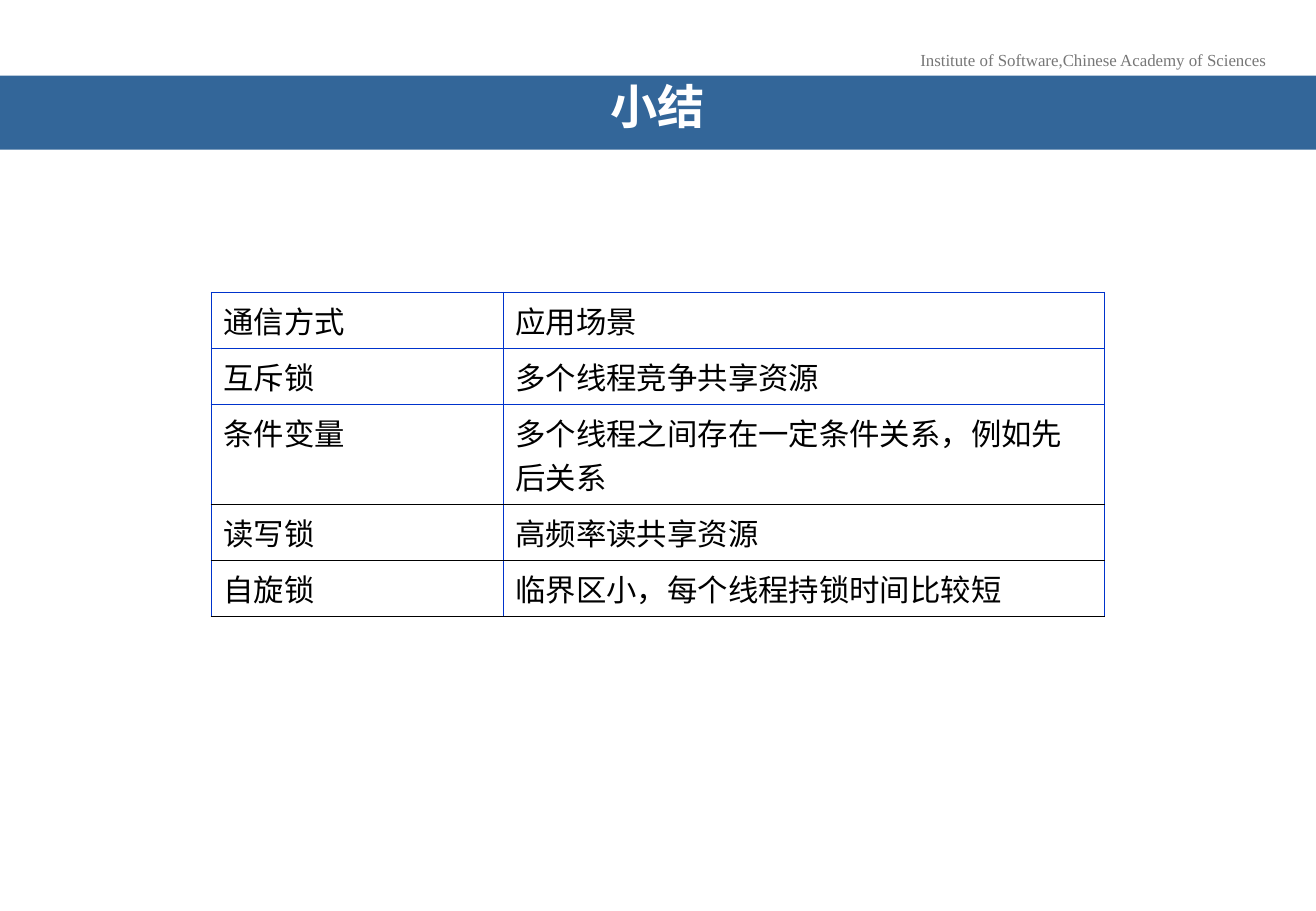
from lxml.etree import SubElement
from pptx import Presentation
from pptx.dml.color import RGBColor
from pptx.enum.text import MSO_ANCHOR, MSO_AUTO_SIZE, PP_ALIGN
from pptx.oxml.ns import qn
from pptx.util import Cm, Pt

INSTITUTE = "Institute of Software,Chinese Academy of Sciences"
TITLE = "小结"
LOCKS = [
    ("通信方式", "应用场景"),
    ("互斥锁", "多个线程竞争共享资源"),
    ("条件变量", "多个线程之间存在一定条件关系，例如先后关系"),
    ("读写锁", "高频率读共享资源"),
    ("自旋锁", "临界区小，每个线程持锁时间比较短"),
]

SLIDE_WIDTH, SLIDE_HEIGHT = 27.51, 19.05
COLUMN_WIDTHS = [6.1, 12.57]
ROW_HEIGHTS = [1.17, 1.17, 2.09, 1.17, 1.17]
BLUE_RULE = ("0033CC", 1)
THIN_RULE = ("000000", 0.5)
BLUE_RULES = 3  # horizontal rules from the top that are blue


def color(hex_string):
    return RGBColor.from_string(hex_string)


def write(frame, text, size, font_name, hex_string, align, bold=False):
    paragraph = frame.paragraphs[0]
    paragraph.alignment = align
    run = paragraph.add_run()
    run.text = text
    run.font.size = Pt(size)
    run.font.name = font_name
    run.font.bold = bold
    run.font.color.rgb = color(hex_string)
    return paragraph


def add_border(cell, side, rule):
    hex_string, width = rule
    line = SubElement(cell._tc.get_or_add_tcPr(), qn(f"a:ln{side}"), w=str(Pt(width)))
    fill = SubElement(line, qn("a:solidFill"))
    SubElement(fill, qn("a:srgbClr"), val=hex_string)


def horizontal_rule(index):
    return BLUE_RULE if index < BLUE_RULES else THIN_RULE


def add_institute(slide):
    box = slide.shapes.add_textbox(Cm(18.95), Cm(0.91), Cm(7.8), Cm(0.69))
    box.text_frame.word_wrap = False
    write(box.text_frame, INSTITUTE, 10, "Times New Roman", "777777", PP_ALIGN.CENTER)


def fill_title(slide):
    title = slide.shapes.title
    title.left, title.top = Cm(0), Cm(1.58)
    title.width, title.height = Cm(SLIDE_WIDTH), Cm(1.55)
    title.fill.solid()
    title.fill.fore_color.rgb = color("336699")
    frame = title.text_frame
    frame.auto_size = MSO_AUTO_SIZE.NONE
    frame.vertical_anchor = MSO_ANCHOR.MIDDLE
    frame.margin_left = frame.margin_right = Cm(0.79)
    paragraph = write(frame, TITLE, 28, "Arial Narrow", "FFFFFF", PP_ALIGN.CENTER, True)
    paragraph.line_spacing = 0.7


def add_locks(slide):
    table = slide.shapes.add_table(
        len(LOCKS), len(COLUMN_WIDTHS), Cm(4.42), Cm(6.12),
        Cm(sum(COLUMN_WIDTHS)), Cm(sum(ROW_HEIGHTS))).table
    table.first_row = table.horz_banding = False
    for column, width in zip(table.columns, COLUMN_WIDTHS):
        column.width = Cm(width)
    for row, height in zip(table.rows, ROW_HEIGHTS):
        row.height = Cm(height)
    for r, texts in enumerate(LOCKS):
        for c, text in enumerate(texts):
            cell = table.cell(r, c)
            write(cell.text_frame, text, 18, "Times New Roman", "000000", PP_ALIGN.LEFT)
            add_border(cell, "L", BLUE_RULE)
            add_border(cell, "R", BLUE_RULE)
            add_border(cell, "T", horizontal_rule(r))
            add_border(cell, "B", horizontal_rule(r + 1))
            cell.fill.background()


def main():
    deck = Presentation()
    deck.slide_width, deck.slide_height = Cm(SLIDE_WIDTH), Cm(SLIDE_HEIGHT)
    slide = deck.slides.add_slide(deck.slide_layouts[5])
    add_institute(slide)
    fill_title(slide)
    add_locks(slide)
    deck.save("out.pptx")


if __name__ == "__main__":
    main()
